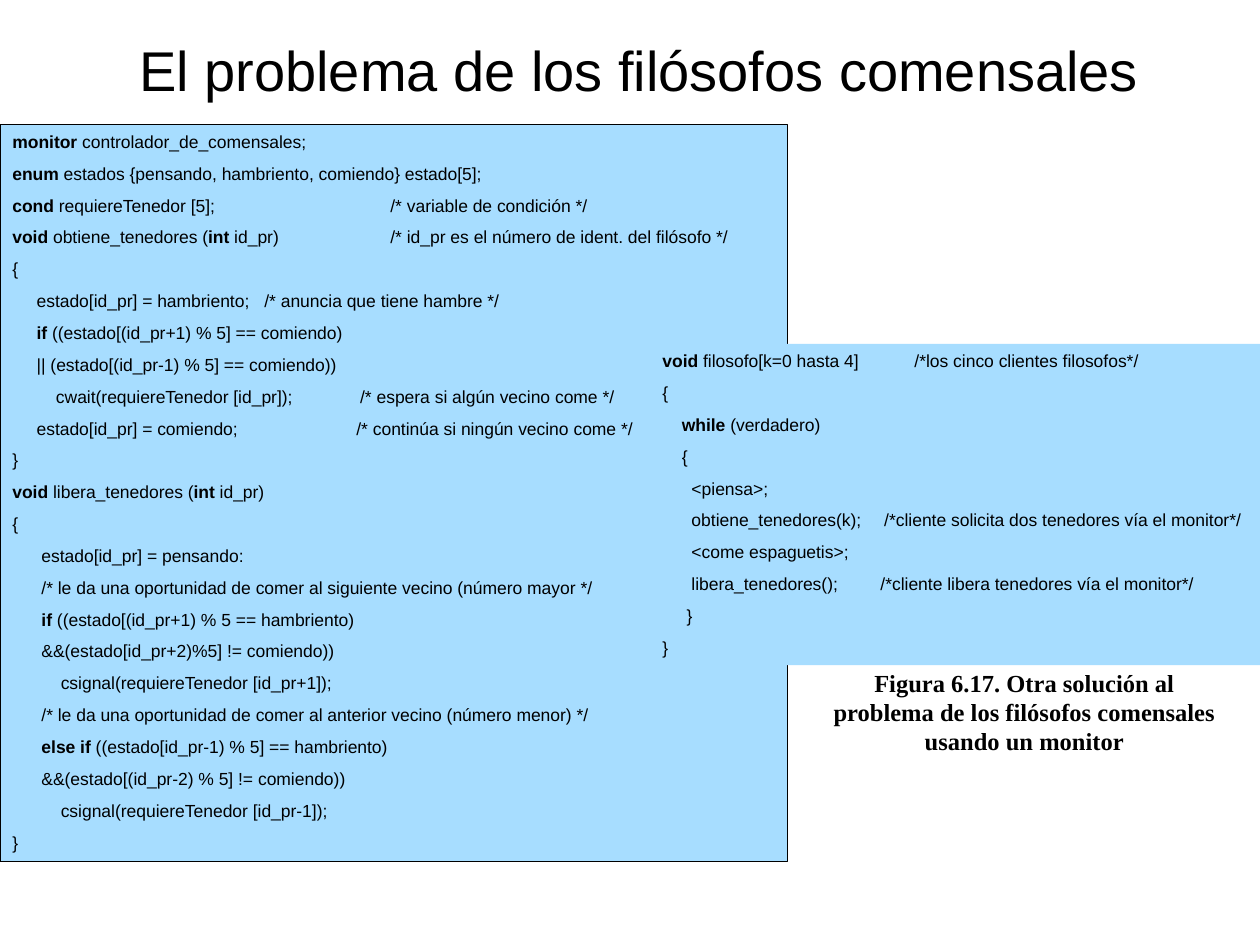
from lxml.etree import SubElement
from pptx import Presentation
from pptx.dml.color import RGBColor
from pptx.enum.shapes import MSO_SHAPE as Preset
from pptx.enum.text import MSO_ANCHOR as Anchor, PP_ALIGN as Align
from pptx.oxml.ns import qn
from pptx.util import Inches, Pt

BLACK, SKY = "000000", "A7DDFF"
CODE_FORMAT = {"name": "Arial", "size": Pt(10)}
CODE_SPACING = {"alignment": Align.LEFT, "line_spacing": Pt(12)}
TITLE_FORMAT = {"name": "Arial", "size": Pt(32), "bold": False}
CAPTION_FORMAT = {"name": "Times New Roman", "size": Pt(14), "bold": True}

MONITOR_CODE = [
    ("**monitor** controlador_de_comensales;",),
    ("**enum** estados {pensando, hambriento, comiendo} estado[5];",),
    ("**cond** requiereTenedor [5];\t/* variable de condición */", 3),
    ("**void **obtiene_tenedores (**int** id_pr)\t/* id_pr es el número de ident. del filósofo */", 3),
    ("{",),
    ("     estado[id_pr] = hambriento;\t/* anuncia que tiene hambre */", 2),
    ("     **if **((estado[(id_pr+1) % 5] == comiendo)",),
    ("     || (estado[(id_pr-1) % 5] == comiendo))",),
    ("         cwait(requiereTenedor [id_pr]);\t/* espera si algún vecino come */", 2.76),
    ("     estado[id_pr] = comiendo;\t/* continúa si ningún vecino come */", 2.73),
    ("}",),
    ("**void** libera_tenedores (**int **id_pr)",),
    ("{",),
    ("      estado[id_pr] = pensando:",),
    ("      /* le da una oportunidad de comer al siguiente vecino (número mayor */",),
    ("      **if** ((estado[(id_pr+1) % 5 == hambriento)",),
    ("      &&(estado[id_pr+2)%5] != comiendo))",),
    ("          csignal(requiereTenedor [id_pr+1]);",),
    ("      /* le da una oportunidad de comer al anterior vecino (número menor) */",),
    ("      **else if** ((estado[id_pr-1) % 5] == hambriento)",),
    ("      &&(estado[(id_pr-2) % 5] != comiendo))",),
    ("          csignal(requiereTenedor [id_pr-1]);",),
    ("}",),
]
PHILOSOPHER_CODE = [
    ("**void** filosofo[k=0 hasta 4]\t/*los cinco clientes filosofos*/", 2),
    ("{",),
    ("    **while** (verdadero)",),
    ("    {",),
    ("      <piensa>;",),
    ("      obtiene_tenedores(k);\t/*cliente solicita dos tenedores vía el monitor*/", 1.76),
    ("      <come espaguetis>;",),
    ("      libera_tenedores();\t/*cliente libera tenedores vía el monitor*/", 1.73),
    ("     }",),
    ("}",),
]


def color(value):
    """Turn a hex string into a colour."""
    return RGBColor.from_string(value)


def set_all(target, values):
    """Set every attribute named in a dict of format values."""
    for name, value in values.items():
        setattr(target, name, value)


def add_run(paragraph, text, values):
    """Add a black run with the given font values."""
    run = paragraph.add_run()
    run.text = text
    set_all(run.font, values)
    run.font.color.rgb = color(BLACK)


def add_tab_stop(paragraph, position):
    """Give a paragraph one left tab stop, in inches."""
    tabs = SubElement(paragraph._p.get_or_add_pPr(), qn("a:tabLst"))
    SubElement(tabs, qn("a:tab"), pos=str(Inches(position)), algn="l")


def add_code_panel(slide, box, lines, outline=None):
    """Add a filled panel of code, with bold keywords and aligned comments."""
    shape = slide.shapes.add_shape(Preset.RECTANGLE, *map(Inches, box))
    shape.shadow.inherit = False
    shape.fill.solid()
    shape.fill.fore_color.rgb = color(SKY)
    if outline:
        shape.line.color.rgb = color(outline)
        shape.line.width = Pt(0.75)
    else:
        shape.line.fill.background()
    frame = shape.text_frame
    set_all(frame, {"word_wrap": True, "vertical_anchor": Anchor.TOP})
    for index, (text, *stops) in enumerate(lines):
        paragraph = frame.add_paragraph() if index else frame.paragraphs[0]
        set_all(paragraph, CODE_SPACING)
        if index:
            paragraph.space_before = Pt(6.2)
        for stop in stops:
            add_tab_stop(paragraph, stop)
        for part, piece in enumerate(text.split("**")):
            if piece:
                add_run(paragraph, piece, {**CODE_FORMAT, "bold": part % 2 == 1})


def add_centred_text(slide, box, text, values, anchor=Anchor.TOP, line_spacing=None):
    """Add a wrapped text box holding one centred paragraph."""
    frame = slide.shapes.add_textbox(*map(Inches, box)).text_frame
    set_all(frame, {"word_wrap": True, "vertical_anchor": anchor})
    paragraph = frame.paragraphs[0]
    set_all(paragraph, {"alignment": Align.CENTER, "line_spacing": line_spacing})
    add_run(paragraph, text, values)


def main():
    """Build the slide and save it."""
    presentation = Presentation()
    set_all(presentation, {"slide_width": Inches(10), "slide_height": Inches(7.5)})
    slide = presentation.slides.add_slide(presentation.slide_layouts[6])
    add_centred_text(slide, (0.9, 0, 8.35, 1.1), "El problema de los filósofos comensales",
                     TITLE_FORMAT, Anchor.MIDDLE)
    add_code_panel(slide, (0, 0.99, 6.25, 5.85), MONITOR_CODE, BLACK)
    add_code_panel(slide, (5.16, 2.73, 5.33, 2.55), PHILOSOPHER_CODE)
    add_centred_text(slide, (6.42, 5.25, 3.42, 0.8),
                     "Figura 6.17. Otra solución al problema de los filósofos comensales usando un monitor",
                     CAPTION_FORMAT, line_spacing=Pt(16.8))
    presentation.save("out.pptx")


if __name__ == "__main__":
    main()
